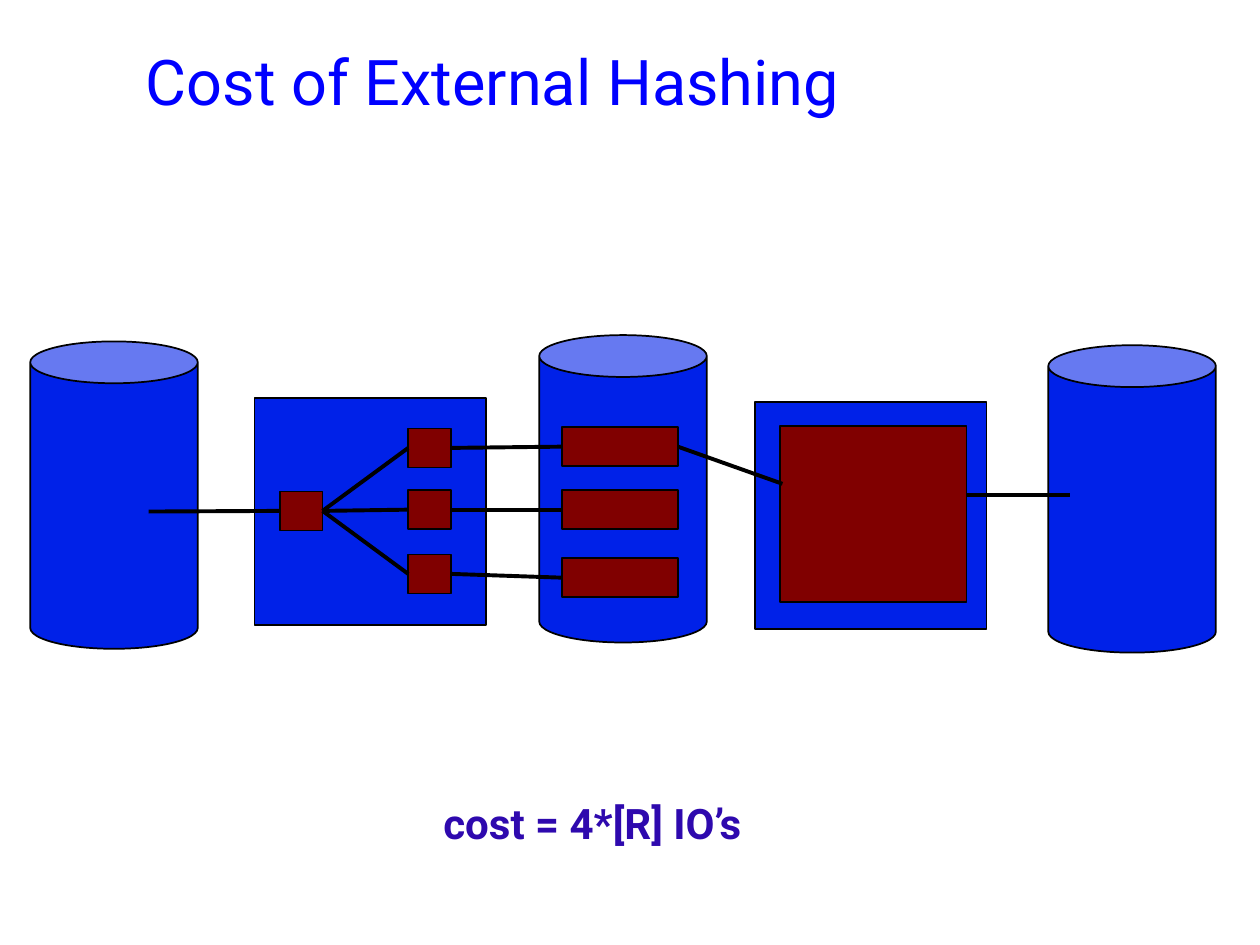
from dataclasses import dataclass

from lxml.etree import SubElement
from pptx import Presentation
from pptx.dml.color import RGBColor
from pptx.enum.shapes import MSO_CONNECTOR, MSO_SHAPE
from pptx.enum.text import MSO_ANCHOR
from pptx.oxml.ns import qn
from pptx.slide import Slide
from pptx.util import Inches, Pt

BLACK = RGBColor(0x00, 0x00, 0x00)
DISK_BLUE = RGBColor(0x00, 0x21, 0xE8)
BUFFER_RED = RGBColor(0x80, 0x00, 0x00)
TITLE_BLUE = RGBColor(0x00, 0x00, 0xFF)
COST_PURPLE = RGBColor(0x2E, 0x09, 0xAE)
LEFT, RIGHT = 1, 3


@dataclass
class Diagram:
    page: Slide
    unit: int
    font: str = "Roboto"
    outline: float = 1
    stroke: float = 2.25

    def grid(self, *cells):
        return [round(cell * self.unit) for cell in cells]

    def shape(self, kind, color, column, row, columns, rows):
        shape = self.page.shapes.add_shape(kind, *self.grid(column, row, columns, rows))
        shape.shadow.inherit = False
        shape.fill.solid()
        shape.fill.fore_color.rgb = color
        shape.line.color.rgb = BLACK
        shape.line.width = Pt(self.outline)
        return shape

    def disk(self, column, row):
        return self.shape(MSO_SHAPE.CAN, DISK_BLUE, column, row, 13.3, 24.4)

    def memory(self, column, row):
        return self.shape(MSO_SHAPE.RECTANGLE, DISK_BLUE, column, row, 18.4, 18)

    def buffer(self, column, row, columns=3.4, rows=3.1):
        return self.shape(MSO_SHAPE.RECTANGLE, BUFFER_RED, column, row, columns, rows)

    def line(self, start, end, source=None, target=None):
        line = self.page.shapes.add_connector(
            MSO_CONNECTOR.STRAIGHT, *self.grid(*start, *end)
        )
        if source is not None:
            line.begin_connect(source, RIGHT)
        if target is not None:
            line.end_connect(target, LEFT)
        line.line.color.rgb = BLACK
        line.line.width = Pt(self.stroke)
        SubElement(line._element.spPr, qn("a:effectLst"))
        return line

    def link(self, source, target):
        return self.line((0, 0), (0, 0), source, target)

    def text(self, words, size, color, column, row, columns, rows, bold=False):
        box = self.page.shapes.add_textbox(*self.grid(column, row, columns, rows))
        frame = box.text_frame
        frame.text = words
        frame.word_wrap = True
        frame.vertical_anchor = MSO_ANCHOR.MIDDLE
        font = frame.paragraphs[0].runs[0].font
        font.name = self.font
        font.size = Pt(size)
        font.bold = bold
        font.color.rgb = color
        return box


def main():
    deck = Presentation()
    deck.slide_width, deck.slide_height = Inches(10), Inches(7.5)
    page = deck.slides.add_slide(deck.slide_layouts[6])
    diagram = Diagram(page, deck.slide_width / 100)

    diagram.text("Cost of External Hashing", 36, TITLE_BLUE, 10.6, 0.1, 85, 12.5)

    for column, row in ((2.4, 27.1), (42.8, 26.6), (83.2, 27.4)):
        diagram.disk(column, row)
    for column, row in ((20.2, 31.6), (59.9, 31.9)):
        diagram.memory(column, row)

    input_buffer = diagram.buffer(22.2, 39)
    diagram.buffer(61.9, 33.8, 14.8, 14)
    partition_rows = (34, 38.9, 44)
    bucket_rows = (33.9, 38.9, 44.3)
    partitions = [diagram.buffer(32.4, row) for row in partition_rows]
    buckets = [diagram.buffer(44.6, row, columns=9.2) for row in bucket_rows]

    diagram.line((11.8, 40.6), (22.2, 40.6), target=input_buffer)
    for partition, bucket in zip(partitions, buckets):
        diagram.link(input_buffer, partition)
        diagram.link(partition, bucket)
    diagram.line((53.8, 35.6), (62.1, 38.4), source=buckets[0])
    diagram.line((76.7, 39.3), (84.9, 39.3))

    diagram.text("cost = 4*[R] IO’s", 24, COST_PURPLE, 34.2, 62.8, 27.8, 5, bold=True)

    deck.save("out.pptx")


if __name__ == "__main__":
    main()
